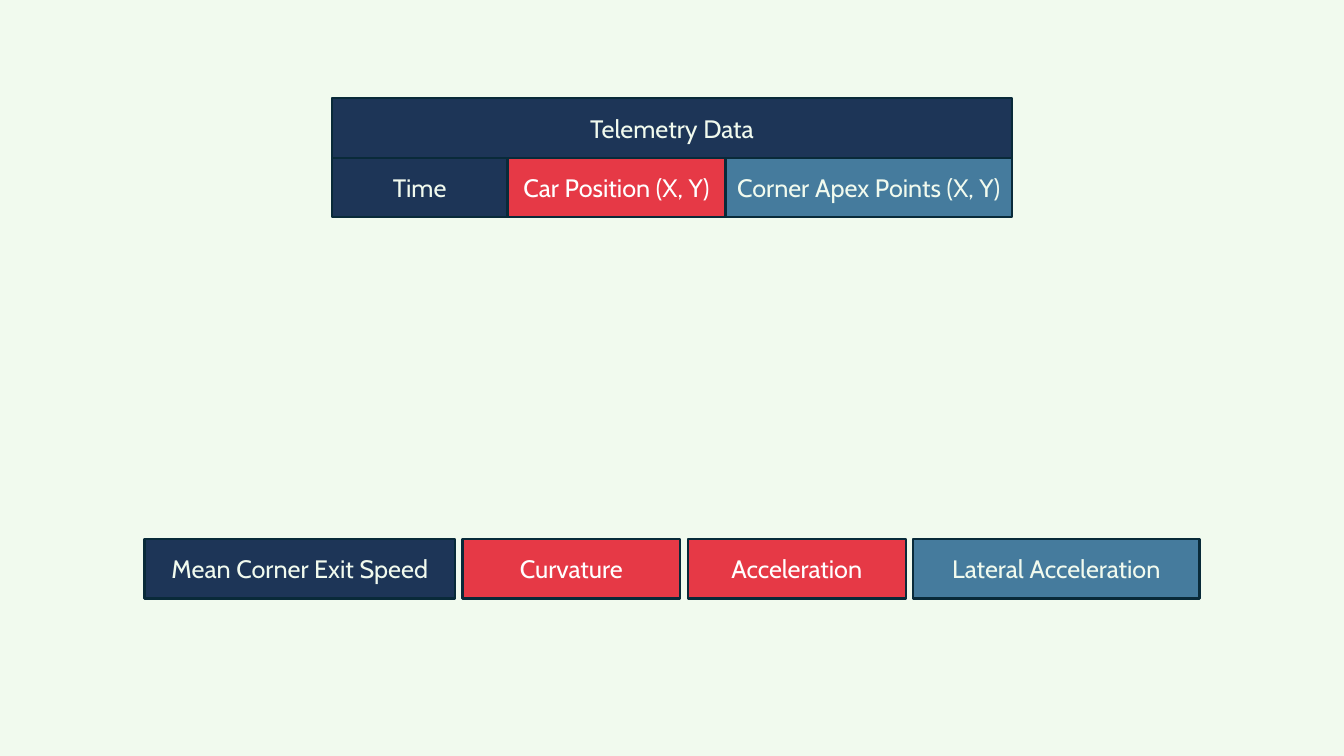
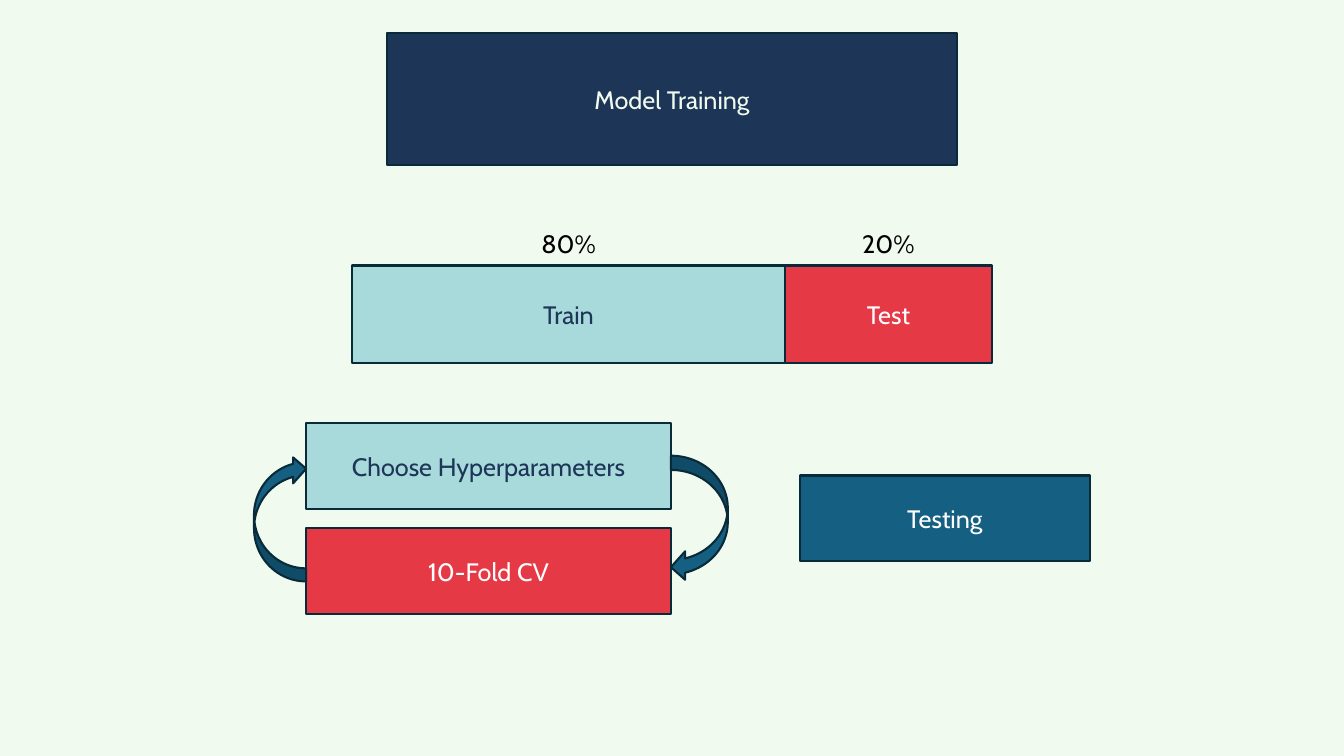
from typing import NamedTuple

from pptx import Presentation
from pptx.dml.color import RGBColor
from pptx.enum.shapes import MSO_SHAPE
from pptx.enum.text import MSO_ANCHOR, PP_ALIGN
from pptx.util import Emu, Inches, Pt

SLIDE_WIDTH = Emu(12192000)
SLIDE_HEIGHT = Inches(7.5)
COLUMN = SLIDE_WIDTH / 100
ROW = SLIDE_HEIGHT / 100

FONT = "Cabin"
MINT = RGBColor(0xF1, 0xFA, 0xEE)
NAVY = RGBColor(0x1D, 0x35, 0x57)
RED = RGBColor(0xE6, 0x39, 0x46)
STEEL = RGBColor(0x45, 0x7B, 0x9D)
AQUA = RGBColor(0xA8, 0xDA, 0xDC)
TEAL = RGBColor(0x15, 0x60, 0x82)
OUTLINE = RGBColor(0x09, 0x2A, 0x39)
WHITE = RGBColor(0xFF, 0xFF, 0xFF)
BLACK = RGBColor(0x00, 0x00, 0x00)


class Box(NamedTuple):
    """A rectangle measured in columns and rows of the slide grid."""

    left: float
    top: float
    width: float
    height: float


def area(box, left, top, width, height):
    """Return the area covering the given shares of a box."""
    return Box(
        box.left + left * box.width,
        box.top + top * box.height,
        width * box.width,
        height * box.height,
    )


def split_columns(box, weights, gap=0):
    """Return side-by-side boxes with widths in proportion to weights."""
    unit = (box.width - gap * (len(weights) - 1)) / sum(weights)
    boxes, left = [], box.left
    for weight in weights:
        boxes.append(Box(left, box.top, weight * unit, box.height))
        left += weight * unit + gap
    return boxes


def slide_lengths(box):
    """Return left, top, width and height of a box as slide lengths."""
    return [Emu(round(cells * unit)) for cells, unit in zip(box, (COLUMN, ROW) * 2)]


def write_text(shape, text, color=MINT, anchor=MSO_ANCHOR.MIDDLE, size=18):
    """Write one centred paragraph in a shape."""
    frame = shape.text_frame
    frame.word_wrap = True
    frame.vertical_anchor = anchor
    paragraph = frame.paragraphs[0]
    paragraph.alignment = PP_ALIGN.CENTER
    run = paragraph.add_run()
    run.text = text
    run.font.name = FONT
    run.font.size = Pt(size)
    run.font.color.rgb = color


def add_outlined(slide, box, fill, kind=MSO_SHAPE.RECTANGLE):
    """Add a filled shape with the shared outline."""
    shape = slide.shapes.add_shape(kind, *slide_lengths(box))
    shape.shadow.inherit = False
    shape.fill.solid()
    shape.fill.fore_color.rgb = fill
    shape.line.color.rgb = OUTLINE
    shape.line.width = Pt(1.5)
    return shape


def add_block(slide, box, text, fill, color=MINT):
    """Add a labelled rectangle."""
    write_text(add_outlined(slide, box, fill), text, color=color)


def add_block_row(slide, box, blocks, gap=0):
    """Add a row of blocks given as weight, text, fill and text colour."""
    boxes = split_columns(box, [block[0] for block in blocks], gap)
    for place, (_, text, fill, color) in zip(boxes, blocks):
        add_block(slide, place, text, fill, color)


def add_telemetry(slide, box):
    """Add the telemetry header above its three inputs."""
    add_block_row(slide, area(box, 0, 0.5, 1, 0.5), [
        (1.74, "Time", NAVY, MINT),
        (2.16, "Car Position (X, Y)", RED, WHITE),
        (2.84, "Corner Apex Points (X, Y)", STEEL, MINT),
    ])
    add_block(slide, area(box, 0, 0, 1, 0.5), "Telemetry Data", NAVY)


def add_features(slide, box):
    """Add the row of derived features."""
    add_block_row(slide, box, [
        (3.08, "Mean Corner Exit Speed", NAVY, MINT),
        (2.16, "Curvature", RED, WHITE),
        (2.16, "Acceleration", RED, WHITE),
        (2.84, "Lateral Acceleration", STEEL, MINT),
    ], gap=0.56)


def add_data_split(slide, box):
    """Add the train and test bar with a percentage over each portion."""
    weights = (4.29, 2.05)
    add_block_row(slide, area(box, 0, 0.3, 1, 0.7), [
        (weights[0], "Train", AQUA, NAVY),
        (weights[1], "Test", RED, WHITE),
    ])
    label_boxes = split_columns(area(box, 0, 0, 1, 0.3), weights)
    for place, percentage in zip(label_boxes, ("80%", "20%")):
        label = slide.shapes.add_textbox(*slide_lengths(place))
        write_text(label, percentage, color=BLACK, anchor=MSO_ANCHOR.TOP)


def add_tuning_loop(slide, box):
    """Add the two tuning steps joined by curved arrows."""
    add_block(slide, area(box, 0.11, 0.55, 0.77, 0.45), "10-Fold CV", RED, WHITE)
    add_block(slide, area(box, 0.11, 0, 0.77, 0.45), "Choose Hyperparameters", AQUA, NAVY)
    add_outlined(slide, area(box, 0.88, 0.17, 0.12, 0.66), TEAL, MSO_SHAPE.CURVED_LEFT_ARROW)
    return_arrow = add_outlined(
        slide, area(box, 0, 0.17, 0.11, 0.66), TEAL, MSO_SHAPE.CURVED_RIGHT_ARROW
    )
    return_arrow._element.spPr.xfrm.set("flipV", "1")


def add_slide(presentation):
    """Add a blank slide with the shared background."""
    slide = presentation.slides.add_slide(presentation.slide_layouts[6])
    slide.background.fill.solid()
    slide.background.fill.fore_color.rgb = MINT
    return slide


def build_data_slide(presentation):
    """Build the slide of telemetry inputs and derived features."""
    slide = add_slide(presentation)
    add_telemetry(slide, Box(24.7, 13, 50.6, 15.7))
    add_features(slide, Box(10.75, 71.3, 78.5, 7.87))


def build_training_slide(presentation):
    """Build the slide of the model training process."""
    slide = add_slide(presentation)
    add_block(slide, Box(28.8, 4.4, 42.4, 17.4), "Model Training", NAVY)
    add_block(slide, Box(59.5, 62.9, 21.6, 11.35), "Testing", TEAL, WHITE)
    add_tuning_loop(slide, Box(18.9, 56, 35.25, 25.2))
    add_data_split(slide, Box(26.2, 29.6, 47.6, 18.4))


def main():
    """Build and save the presentation."""
    presentation = Presentation()
    presentation.slide_width = SLIDE_WIDTH
    presentation.slide_height = SLIDE_HEIGHT
    build_data_slide(presentation)
    build_training_slide(presentation)
    presentation.save("out.pptx")


if __name__ == "__main__":
    main()
